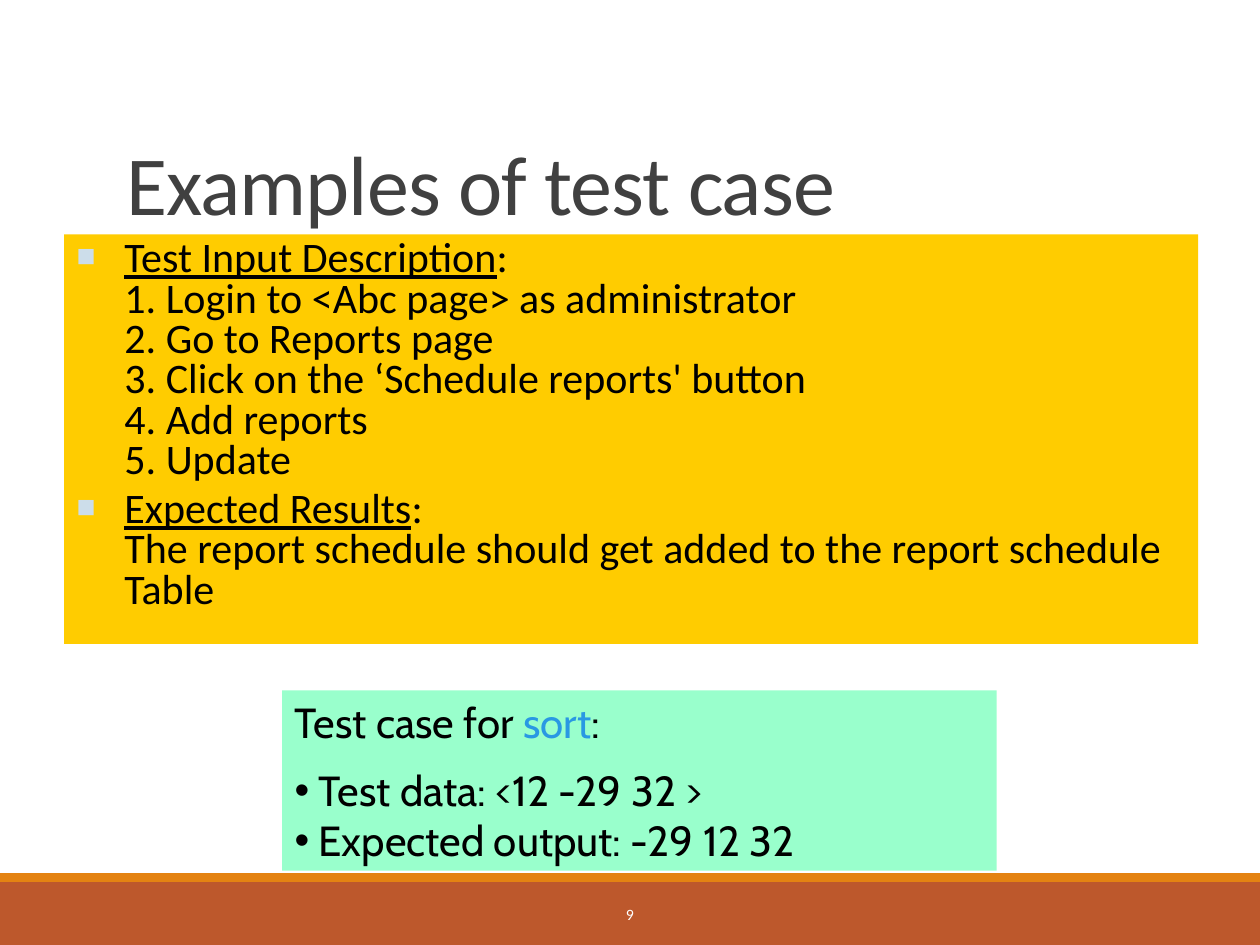
"""Build a slide with two examples of test cases."""
import pptx
import pptx.util
import pptx.dml.color
import pptx.enum.shapes
import pptx.enum.text
import pptx.oxml
import pptx.oxml.ns

COLORS = {
    "white": "FFFFFF", "title": "404040", "text": "000000", "marker": "CCDDEA",
    "keyword": "2998E3", "band": "BD582C", "stripe": "E48312",
    "yellow": "FFCC00", "green": "99FFCC",
}
ANCHOR = pptx.enum.text.MSO_ANCHOR
ALIGN = pptx.enum.text.PP_ALIGN
Pt = pptx.util.Pt

presentation = pptx.Presentation()
presentation.slide_width = pptx.util.Inches(10)
presentation.slide_height = pptx.util.Inches(7.5)
width, height = presentation.slide_width, presentation.slide_height
slide = presentation.slides.add_slide(presentation.slide_layouts[5])


def add_run(paragraph, text, color, **formats):
    run = paragraph.add_run()
    run.text = text
    run.font.color.rgb = pptx.dml.color.RGBColor.from_string(COLORS[color])
    for name, value in formats.items():
        setattr(run.font, name, value)
    return run


def add_bullet(paragraph, character, indent, extras=""):
    properties = paragraph._p.get_or_add_pPr()
    properties.set("marL", str(pptx.util.Inches(indent)))
    properties.set("indent", str(-pptx.util.Inches(indent)))
    bullet = f'{extras}<a:buFont typeface="Arial"/><a:buChar char="{character}"/>'
    namespace = pptx.oxml.ns.nsdecls("a")
    for element in pptx.oxml.parse_xml(f"<a:pPr {namespace}>{bullet}</a:pPr>"):
        properties.append(element)


title = slide.shapes.title
title_place = {"left": 0.09, "top": 0.31 / 7.5, "width": 0.825, "height": 1.59 / 7.5}
for name, share in title_place.items():
    setattr(title, name, int(share * (width if name in ("left", "width") else height)))
title_format = {"vertical_anchor": ANCHOR.BOTTOM, "word_wrap": True,
                "auto_size": pptx.enum.text.MSO_AUTO_SIZE.NONE}
for name, value in title_format.items():
    setattr(title.text_frame, name, value)
heading = title.text_frame.paragraphs[0]
heading.alignment = ALIGN.LEFT
heading.line_spacing = 0.85
heading_run = add_run(heading, "Examples of test case", "title", name="Calibri", size=Pt(48))
heading_run._r.get_or_add_rPr().set("spc", "-50")

boxes = {
    "band": (0, 7, 10, 0.5),
    "stripe": (0, 6.93, 10, 0.07),
    "yellow": (0.51, 1.86, 9, 3.25),
    "green": (2.24, 5.48, 5.67, 1.43),
}
frames = {}
for color, (left, top, box_width, box_height) in boxes.items():
    shape = slide.shapes.add_shape(
        pptx.enum.shapes.MSO_SHAPE.RECTANGLE,
        int(left / 10 * width), int(top / 7.5 * height),
        int(box_width / 10 * width), int(box_height / 7.5 * height))
    shape.shadow.inherit = False
    shape.fill.solid()
    shape.fill.fore_color.rgb = pptx.dml.color.RGBColor.from_string(COLORS[color])
    shape.line.fill.background()
    shape.text_frame.word_wrap = True
    shape.text_frame.vertical_anchor = ANCHOR.TOP
    frames[color] = shape.text_frame

sections = [
    ("Test Input Description", [
        "1. Login to <Abc page> as administrator", "2. Go to Reports page",
        "3. Click on the ‘Schedule reports' button", "4. Add reports", "5. Update"]),
    ("Expected Results", [
        "The report schedule should get added to the report schedule Table"]),
]
marker = f'<a:buClr><a:srgbClr val="{COLORS["marker"]}"/></a:buClr><a:buSzPct val="75000"/>'
body = {"name": "Calibri", "size": Pt(24)}
for index, (label, lines) in enumerate(sections):
    paragraph = frames["yellow"].add_paragraph() if index else frames["yellow"].paragraphs[0]
    add_bullet(paragraph, "■", 0.38, marker)
    paragraph.alignment = ALIGN.LEFT
    paragraph.line_spacing = 0.8
    paragraph.space_before = Pt(5 * index)
    add_run(paragraph, label, "text", underline=True, **body)
    add_run(paragraph, ":", "text", **body)
    for line in lines:
        paragraph.add_line_break()
        add_run(paragraph, line, "text", **body)

sort_lines = [
    [("Test case for ", "text"), ("sort", "keyword"), (":", "text")],
    [("Test data: <12 -29 32 >", "text")],
    [("Expected output: -29 12 32", "text")],
]
for index, pieces in enumerate(sort_lines):
    paragraph = frames["green"].add_paragraph() if index else frames["green"].paragraphs[0]
    if index:
        add_bullet(paragraph, "•", 0.19)
    paragraph.alignment = ALIGN.LEFT
    paragraph.space_before = Pt(10 if index == 1 else 0)
    for text, color in pieces:
        add_run(paragraph, text, color, name="Cabin", size=Pt(24))

number_box = slide.shapes.add_textbox(
    int(0.302 * width), int(7.06 / 7.5 * height), int(0.396 * width), int(0.4 / 7.5 * height))
number_box.text_frame.word_wrap = True
number_box.text_frame.vertical_anchor = ANCHOR.MIDDLE
number = number_box.text_frame.paragraphs[0]
number.alignment = ALIGN.CENTER
add_run(number, "9", "white", name="Calibri", size=Pt(9))

presentation.save("out.pptx")
